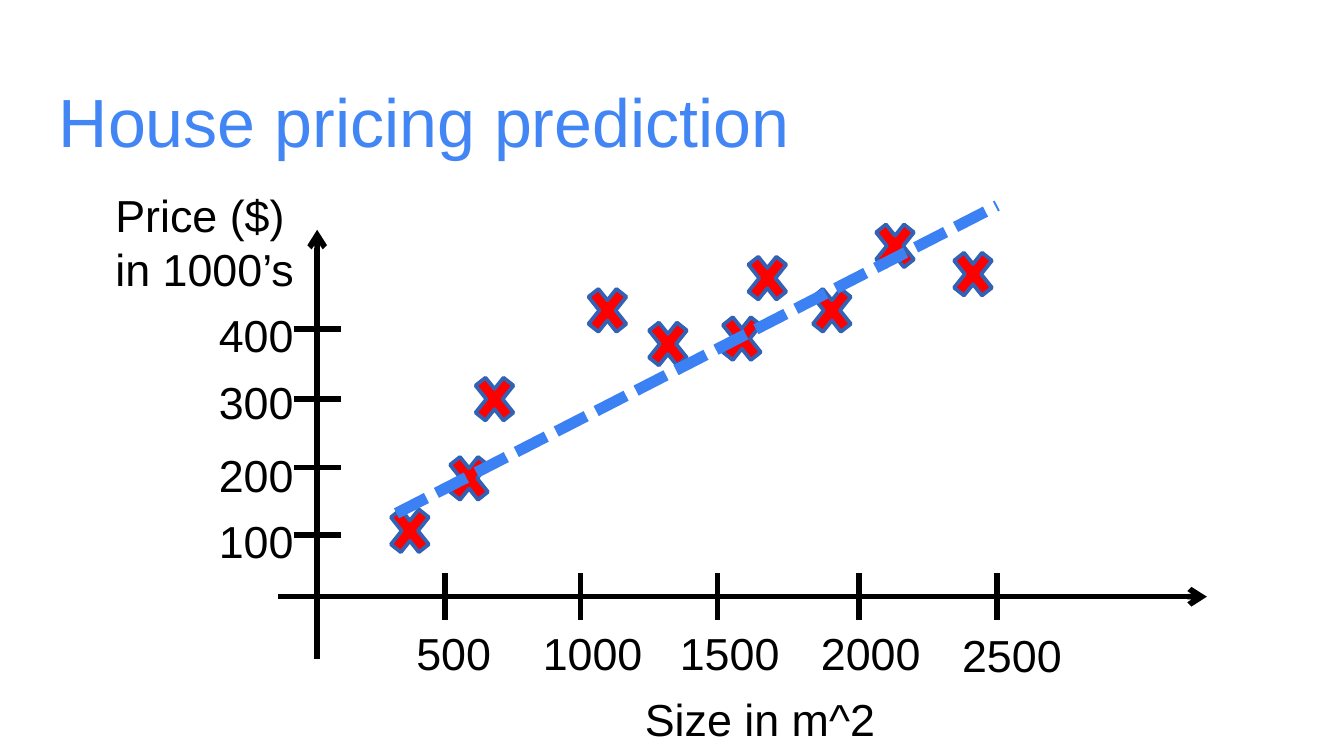
import pptx
import pptx.util
import pptx.oxml
import pptx.oxml.ns
from pptx.dml.color import RGBColor
from pptx.enum.dml import MSO_LINE
from pptx.enum.shapes import MSO_CONNECTOR, MSO_SHAPE
from pptx.util import Inches

BLACK = RGBColor(0x00, 0x00, 0x00)
TITLE_BLUE = RGBColor(0x42, 0x85, 0xF4)
TREND_BLUE = RGBColor(0x3C, 0x81, 0xF3)
MARK_RED = RGBColor(0xFF, 0x00, 0x00)
MARK_EDGE = RGBColor(0x31, 0x62, 0xB5)

TICK = 0.35
MARK_WIDTH, MARK_HEIGHT = 0.4, 0.5
LABEL_HEIGHT = 0.5

# Positions below are relative to the top left corner of the plot
PLOT_LEFT, PLOT_TOP = 0.76, 1.35
AXIS_X, AXIS_Y = 1.6, 3.09
# Each size tick: label, tick x, label left, label top
SIZE_TICKS = [("500", 2.55, 2.24, 3.26), ("1000", 3.56, 3.18, 3.26),
              ("1500", 4.58, 4.2, 3.26), ("2000", 5.63, 5.25, 3.26),
              ("2500", 6.66, 6.3, 3.27)]
# Each price tick: label, tick y, label top
PRICE_TICKS = [("100", 2.63, 2.42), ("200", 2.13, 1.93),
               ("300", 1.62, 1.39), ("400", 1.1, 0.89)]
HOUSES = [(2.09, 2.35), (2.72, 1.37), (3.56, 0.71), (4.01, 0.96), (4.75, 0.47),
          (5.23, 0.71), (4.56, 0.92), (5.7, 0.23), (6.28, 0.44), (2.53, 1.96)]


def add_text(page, text, left, top, width, height, size=24, color=BLACK,
             wrap=False, inset=0.05):
    box = page.shapes.add_textbox(Inches(left), Inches(top), Inches(width), Inches(height))
    frame = box.text_frame
    frame.word_wrap = wrap
    frame.margin_left = frame.margin_right = Inches(0.1)
    frame.margin_top = frame.margin_bottom = Inches(inset)
    para = frame.paragraphs[0]
    para.text = text
    for span in para.runs:
        span.font.name = "Arial"
        span.font.size = pptx.util.Pt(size)
        span.font.color.rgb = color


def add_line(page, start, end, color=BLACK, width=3, dash=None, arrow=False):
    line = page.shapes.add_connector(MSO_CONNECTOR.STRAIGHT,
                                     *(Inches(value) for value in (*start, *end)))
    line.line.color.rgb = color
    line.line.width = pptx.util.Pt(width)
    if dash is not None:
        line.line.dash_style = dash
    properties = line._element.spPr
    namespace = pptx.oxml.ns.nsdecls("a")
    if arrow:
        outline = properties.find(pptx.oxml.ns.qn("a:ln"))
        outline.append(pptx.oxml.parse_xml(f'<a:tailEnd {namespace} type="arrow"/>'))
    properties.append(pptx.oxml.parse_xml(f"<a:effectLst {namespace}/>"))


def add_axes(page, left, top):
    axis_x, axis_y = left + AXIS_X, top + AXIS_Y
    add_line(page, (axis_x, top + 3.55), (axis_x, top + 0.36), arrow=True)
    add_line(page, (left + 1.31, axis_y), (left + 8.22, axis_y), arrow=True)

    # Size axis ticks
    for label, tick, label_left, label_top in SIZE_TICKS:
        x = left + tick
        add_line(page, (x, axis_y - TICK / 2), (x, axis_y + TICK / 2))
        width = 0.76 if len(label) == 3 else 0.95
        add_text(page, label, left + label_left, top + label_top, width, LABEL_HEIGHT)

    # Price axis ticks
    for label, tick, label_top in PRICE_TICKS:
        y = top + tick
        add_line(page, (axis_x - TICK / 2, y), (axis_x + TICK / 2, y))
        add_text(page, label, left + 0.77, top + label_top, 0.76, LABEL_HEIGHT)

    # Axis names
    add_text(page, "Price ($)\vin 1000’s", left, top, 1.55, 0.91)
    add_text(page, "Size in m^2", left + 3.94, top + 3.75, 1.93, LABEL_HEIGHT)


def add_houses(page, left, top):
    for x, y in HOUSES:
        mark = page.shapes.add_shape(MSO_SHAPE.MATH_MULTIPLY, Inches(left + x), Inches(top + y),
                                     Inches(MARK_WIDTH), Inches(MARK_HEIGHT))
        mark.shadow.inherit = False
        mark.fill.solid()
        mark.fill.fore_color.rgb = MARK_RED
        mark.line.color.rgb = MARK_EDGE
        mark.line.width = pptx.util.Pt(2)


def add_plot(page, left, top):
    add_axes(page, left, top)
    add_houses(page, left, top)
    # Fitted trend
    add_line(page, (left + 2.19, top + 2.47), (left + 6.66, top + 0.18),
             color=TREND_BLUE, width=6, dash=MSO_LINE.SQUARE_DOT)


def main():
    deck = pptx.Presentation()
    # Widescreen, 16 to 9
    deck.slide_width = Inches(10)
    deck.slide_height = Inches(10 * 9 / 16)
    page = deck.slides.add_slide(deck.slide_layouts[6])
    add_text(page, "House pricing prediction", 0.34, 0.49, 9.32, 0.63, size=36.5,
             color=TITLE_BLUE, wrap=True, inset=0.1)
    add_plot(page, PLOT_LEFT, PLOT_TOP)
    deck.save("out.pptx")


if __name__ == "__main__":
    main()
